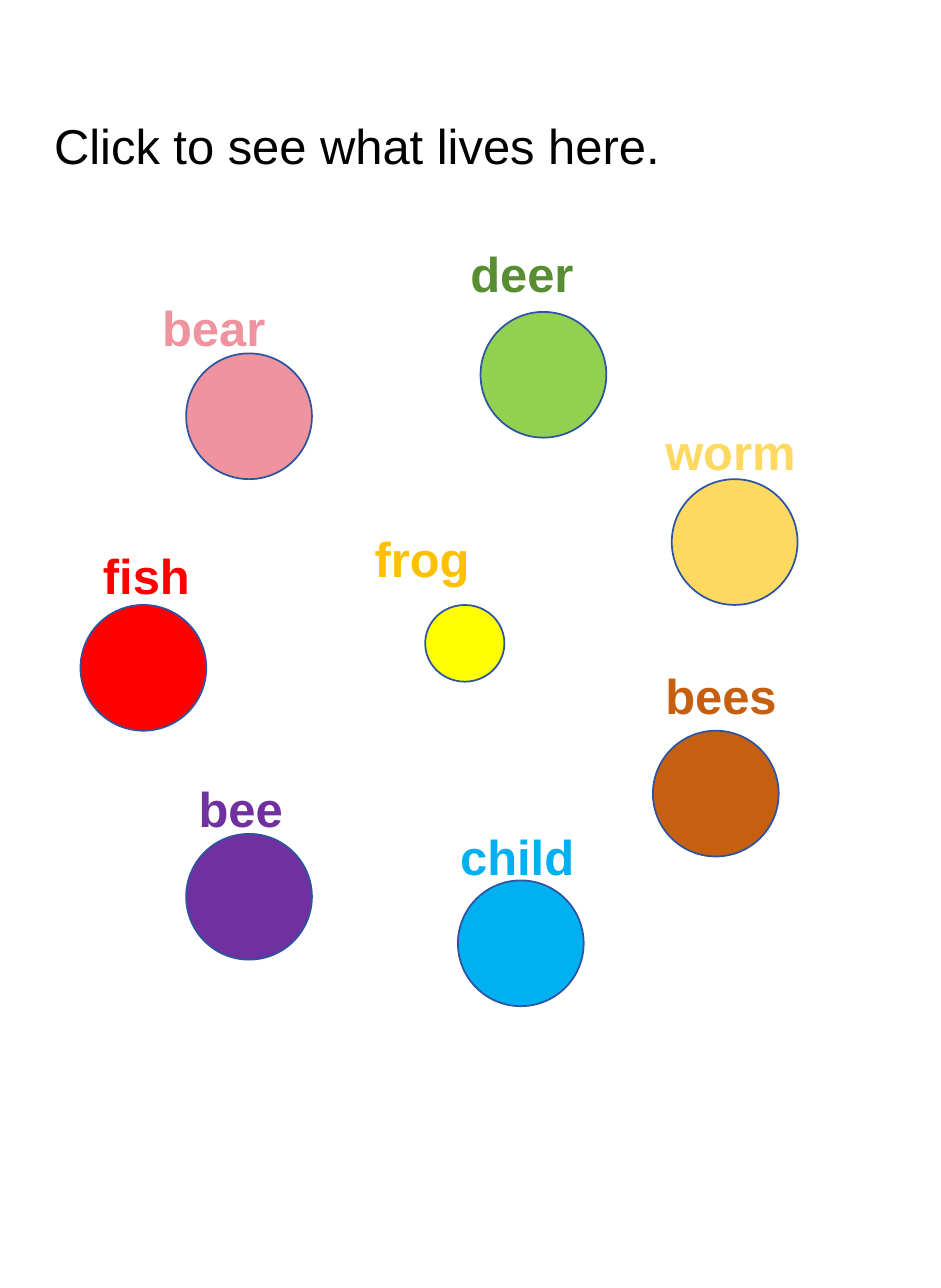
"""Build a page of coloured circles, each labelled with the animal that lives there."""
from pptx import Presentation
from pptx.dml.color import RGBColor
from pptx.enum import shapes, text
from pptx.util import Inches, Pt

COLOURS = {
    "black": "000000", "outline": "2E54A1", "red": "FF0000", "pink": "EF949E",
    "purple": "7030A0", "brown": "C65F10", "sand": "FED961", "blue": "00B0F0",
    "lime": "92D050", "green": "588E31", "yellow": "FFFF00", "amber": "FFC000",
}
FRAME = {"word_wrap": True, "auto_size": text.MSO_AUTO_SIZE.NONE,
         "vertical_anchor": text.MSO_ANCHOR.TOP}
FONT = {"name": "Arial", "size": Pt(28)}
ROUND = (1, 1)
ANIMALS = [
    ("fish", "red", (0.64, 4.81), ROUND, "red", (0.72, 4.29, 0.92, 0.52)),
    ("bear", "pink", (1.48, 2.81), ROUND, "pink", (1.19, 2.32, 1.58, 0.33)),
    ("bee", "purple", (1.48, 6.63), ROUND, "purple", (1.48, 6.14, 1.17, 0.49)),
    ("bees", "brown", (5.19, 5.81), ROUND, "brown", (5.19, 5.24, 1.32, 0.57)),
    ("worm", "sand", (5.34, 3.81), ROUND, "sand", (5.19, 3.3, 1.4, 0.52)),
    ("child", "blue", (3.64, 7), ROUND, "blue", (3.56, 6.52, 1.33, 0.48)),
    ("deer", "lime", (3.82, 2.48), ROUND, "green", (3.64, 1.89, 1.25, 0.58)),
    ("frog", "yellow", (3.38, 4.81), (0.63, 0.61), "amber", (2.88, 4.15, 1.63, 0.53)),
]


def colour(name):
    return RGBColor.from_string(COLOURS[name])


def write(box, words, ink, bold):
    for key, value in FRAME.items():
        setattr(box.text_frame, key, value)
    para = box.text_frame.paragraphs[0]
    para.alignment = text.PP_ALIGN.LEFT
    span = para.add_run()
    span.text = words
    for key, value in {**FONT, "bold": bold}.items():
        setattr(span.font, key, value)
    span.font.color.rgb = colour(ink)


deck = Presentation()
deck.slide_width, deck.slide_height = Inches(7.48), Inches(10.24)
page = deck.slides.add_slide(deck.slide_layouts[5])

title = page.shapes.title
title.left, title.top = Inches(0.33), Inches(0.87)
title.width, title.height = Inches(6.26), Inches(1.04)
write(title, "Click to see what lives here.", "black", False)

for animal, fill, corner, size, ink, label_area in ANIMALS:
    circle = page.shapes.add_shape(shapes.MSO_SHAPE.OVAL, *map(Inches, corner + size))
    circle.shadow.inherit = False
    circle.fill.solid()
    circle.fill.fore_color.rgb = colour(fill)
    circle.line.color.rgb = colour("outline")
    circle.line.width = Pt(1)
    label = page.shapes.add_textbox(*map(Inches, label_area))
    write(label, animal, ink, True)

deck.save("out.pptx")
